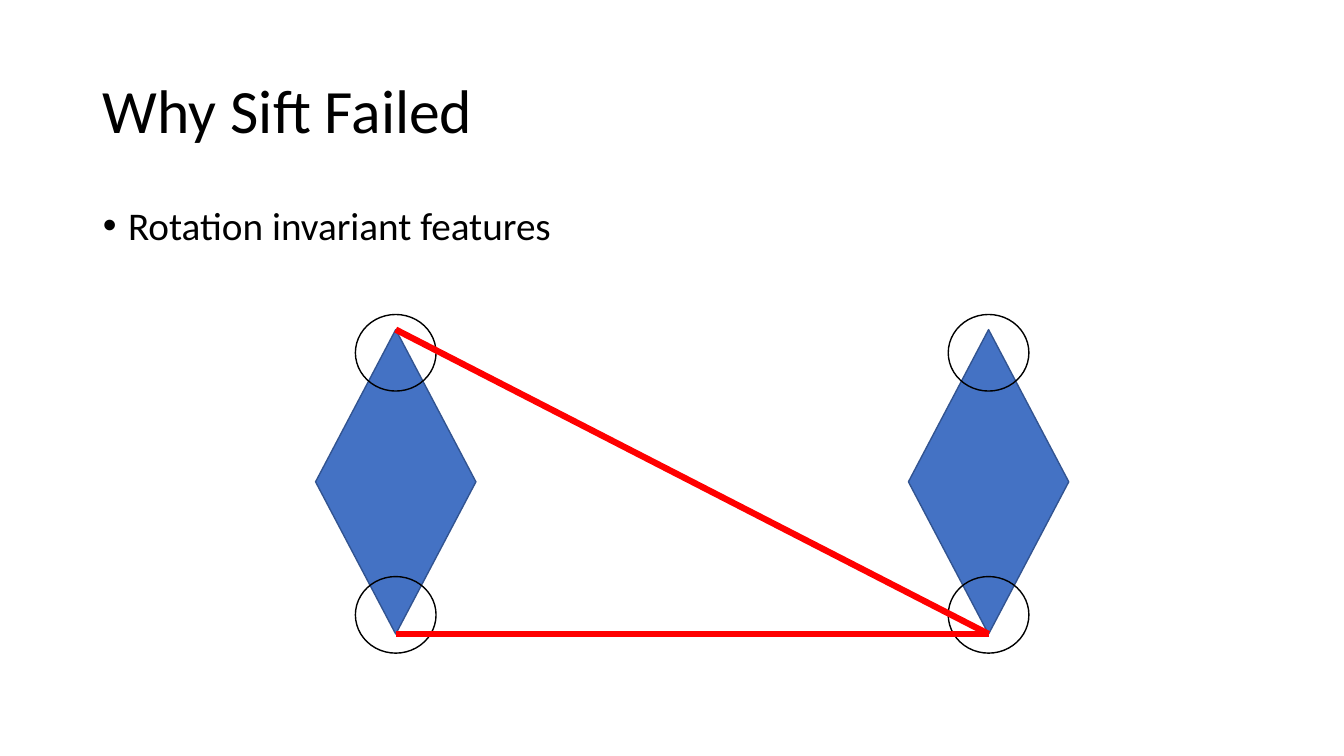
from lxml.etree import SubElement
from pptx import Presentation
from pptx.dml.color import RGBColor
from pptx.enum.shapes import MSO_CONNECTOR, MSO_SHAPE
from pptx.enum.text import MSO_ANCHOR, MSO_AUTO_SIZE, PP_ALIGN
from pptx.oxml.ns import qn
from pptx.util import Inches, Pt

TITLE = "Why Sift Failed"
BULLET = "Rotation invariant features"
FONT = "Calibri"
BLACK, BLUE, DARK_BLUE, RED = "000000", "4472C4", "325491", "FF0000"

DIAMOND_LEFTS = (3.13, 9.01)
DIAMOND_TOP, DIAMOND_WIDTH, DIAMOND_HEIGHT = 3.27, 1.59, 3.02
CIRCLE_TOPS = (3.12, 5.72)
CIRCLE_WIDTH, CIRCLE_HEIGHT = 0.8, 0.76
TOP, BOTTOM = 0, 2
MATCHES = ((TOP, BOTTOM), (BOTTOM, BOTTOM))  # left corner, right corner


def color(hex_code):
    return RGBColor.from_string(hex_code)


def fill_placeholder(box, text, at, size, anchor, bullet=False):
    box.left, box.top, box.width, box.height = map(Inches, at)
    frame = box.text_frame
    frame.text = text
    frame.word_wrap = True
    frame.auto_size = MSO_AUTO_SIZE.NONE
    frame.vertical_anchor = anchor
    para = frame.paragraphs[0]
    if bullet:
        properties = para._p.get_or_add_pPr()
        properties.set("marL", str(Inches(0.25)))
        properties.set("indent", str(-Inches(0.25)))
        SubElement(properties, qn("a:buFont"), typeface="Arial")
        SubElement(properties, qn("a:buChar"), char="•")
    para.alignment = PP_ALIGN.LEFT
    para.line_spacing = 0.9
    para.space_before = Pt(0)
    font = para.runs[0].font
    font.name, font.size = FONT, Pt(size)
    font.color.rgb = color(BLACK)


def add_outline(page, kind, at, line, fill=None):
    shape = page.shapes.add_shape(kind, *map(Inches, at))
    shape.shadow.inherit = False
    if fill:
        shape.fill.solid()
        shape.fill.fore_color.rgb = color(fill)
    else:
        shape.fill.background()
    shape.line.color.rgb = color(line)
    shape.line.width = Pt(1)
    return shape


def add_match(page, start, start_site, end, end_site):
    """Join two diamond corners with a red line."""
    match = page.shapes.add_connector(MSO_CONNECTOR.STRAIGHT, 0, 0, 0, 0)
    match.begin_connect(start, start_site)
    match.end_connect(end, end_site)
    match.line.color.rgb = color(RED)
    match.line.width = Pt(4.5)
    SubElement(match._element.spPr, qn("a:effectLst"))


def main():
    deck = Presentation()
    deck.slide_width, deck.slide_height = Inches(13.33), Inches(7.5)
    page = deck.slides.add_slide(deck.slide_layouts[1])
    title, body = page.placeholders
    fill_placeholder(title, TITLE, (0.92, 0.4, 11.5, 1.45), 44, MSO_ANCHOR.MIDDLE)
    fill_placeholder(body, BULLET, (0.92, 2, 11.5, 0.98), 28, MSO_ANCHOR.TOP, bullet=True)

    diamonds = [
        add_outline(page, MSO_SHAPE.DIAMOND,
                    (left, DIAMOND_TOP, DIAMOND_WIDTH, DIAMOND_HEIGHT), DARK_BLUE, BLUE)
        for left in DIAMOND_LEFTS
    ]
    for left in DIAMOND_LEFTS:
        circle_left = left + (DIAMOND_WIDTH - CIRCLE_WIDTH) / 2
        for top in CIRCLE_TOPS:
            add_outline(page, MSO_SHAPE.OVAL,
                        (circle_left, top, CIRCLE_WIDTH, CIRCLE_HEIGHT), BLACK)
    for left_corner, right_corner in MATCHES:
        add_match(page, diamonds[0], left_corner, diamonds[1], right_corner)

    deck.save("out.pptx")


if __name__ == "__main__":
    main()
